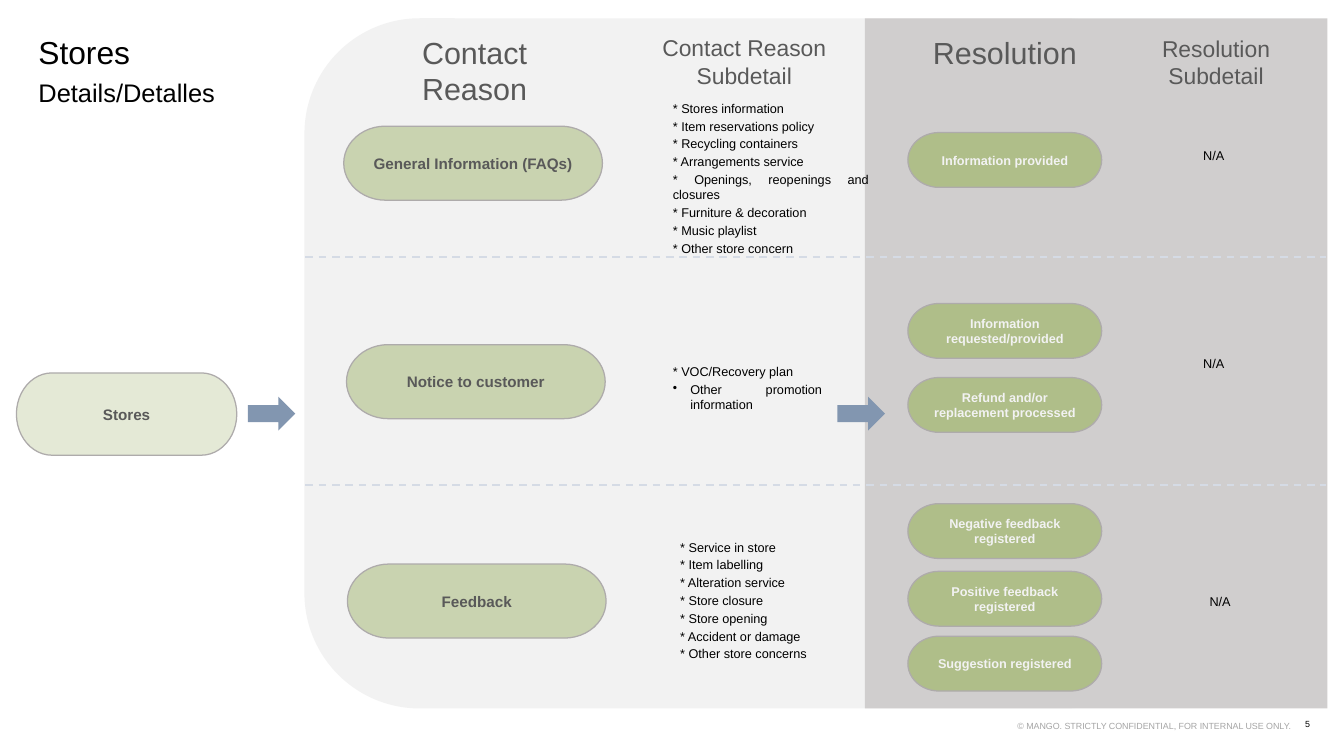
import pptx
import pptx.dml.color
import pptx.enum.dml
import pptx.enum.shapes
import pptx.enum.text
import pptx.oxml
import pptx.oxml.ns
import pptx.util

COLOURS = {
    "black": "000000", "heading": "595959", "footer": "A5A5A5",
    "reason_panel": "F2F2F2", "resolution_panel": "D0CECE",
    "topic": "E4E9D6", "reason": "C9D3B0", "resolution": "AFBE89",
    "outline": "AEABAB", "arrow": "8296B0", "divider": "D5DBE5",
}
FONT = "Arial"
CELL = pptx.util.Inches(0.1)
COLUMNS, ROWS = 147, 82.7
PANEL_TOP, PANEL_ROWS = 2, 75.5
RESOLUTION_COLUMN = 99.3
ALIGN = pptx.enum.text.PP_ALIGN
SHAPES = pptx.enum.shapes.MSO_SHAPE

# Column, row and label of each contact reason
REASONS = [
    (37.6, 13.8, "General Information (FAQs)"),
    (37.9, 37.7, "Notice to customer"),
    (38, 61.7, "Feedback"),
]
# Row and lines of each resolution
RESOLUTIONS = [
    (14.5, ["Information provided"]),
    (33.2, ["Information", "requested/provided"]),
    (41.3, ["Refund and/or replacement processed"]),
    (55.1, ["Negative feedback registered"]),
    (62.5, ["Positive feedback registered"]),
    (69.6, ["Suggestion registered"]),
]
# Area, size and lines of each column heading
HEADINGS = [
    ((40, 3.2, 23.8, 5), 24, ["Contact Reason"]),
    ((69.5, 3.2, 23.8, 7.1), 18, ["Contact Reason Subdetail"]),
    ((98, 3.2, 23.8, 5), 24, ["Resolution"]),
    ((121.1, 3.3, 23.8, 7.1), 18, ["Resolution", "Subdetail"]),
]
# Area and lines of each list of subdetails
SUBDETAILS = [
    ((73.6, 11, 21.4, 17), [
        "* Stores information", "* Item reservations policy",
        "* Recycling containers", "* Arrangements service",
        "* Openings, reopenings and closures", "* Furniture & decoration",
        "* Music playlist", "* Other store concern"]),
    ((73.6, 39.8, 16.3, 5.5), [
        "* VOC/Recovery plan", "• Other promotion information"]),
    ((74.4, 59, 16.3, 14.5), [
        "* Service in store", "* Item labelling", "* Alteration service",
        "* Store closure", "* Store opening", "* Accident or damage",
        "* Other store concerns"]),
]
NOT_APPLICABLE = [(127, 16.2, 11.5, 3.7), (127, 38.9, 11.5, 3.7),
                  (126.4, 65, 14.1, 3.7)]


def rgb(name):
    return pptx.dml.color.RGBColor.from_string(COLOURS[name])


def grid(*cells):
    return [round(cell * CELL) for cell in cells]


def add_bullet(paragraph):
    properties = paragraph._p.get_or_add_pPr()
    hang = pptx.util.Inches(0.19)
    properties.set("marL", str(hang))
    properties.set("indent", str(-hang))
    bullet = pptx.oxml.parse_xml(
        f'<a:buChar {pptx.oxml.ns.nsdecls("a")} char="•"/>')
    properties.append(bullet)


def write(frame, lines, size, colour, align=ALIGN.LEFT, bold=False,
          spacing=None, gap=0, inset=0):
    """Fill a text frame; a line that starts with • becomes a bullet."""
    frame.word_wrap = True
    frame.margin_left = frame.margin_right = pptx.util.Inches(inset)
    frame.margin_top = frame.margin_bottom = pptx.util.Inches(inset / 2)
    for index, line in enumerate(lines):
        paragraph = frame.add_paragraph() if index else frame.paragraphs[0]
        paragraph.alignment = align
        if spacing:
            paragraph.line_spacing = spacing
        if index and gap:
            paragraph.space_before = pptx.util.Pt(gap)
        if line.startswith("• "):
            add_bullet(paragraph)
        run = paragraph.add_run()
        run.text = line.removeprefix("• ")
        run.font.name = FONT
        run.font.size = pptx.util.Pt(size)
        run.font.bold = bold
        run.font.color.rgb = rgb(colour)


def add_text(slide, area, lines, size, colour="black", **style):
    label = slide.shapes.add_textbox(*grid(*area))
    write(label.text_frame, lines, size, colour, **style)


def add_block(slide, kind, area, fill):
    block = slide.shapes.add_shape(kind, *grid(*area))
    block.shadow.inherit = False
    block.fill.solid()
    block.fill.fore_color.rgb = rgb(fill)
    block.line.fill.background()
    return block


def add_pill(slide, area, lines, fill, size=12, colour="heading"):
    pill = add_block(slide, SHAPES.FLOWCHART_TERMINATOR, area, fill)
    pill.line.color.rgb = rgb("outline")
    pill.line.width = pptx.util.Pt(1)
    pill.text_frame.vertical_anchor = pptx.enum.text.MSO_ANCHOR.MIDDLE
    write(pill.text_frame, lines, size, colour, align=ALIGN.CENTER,
          bold=True, inset=0.1)


def add_divider(slide, row):
    divider = slide.shapes.add_connector(
        pptx.enum.shapes.MSO_CONNECTOR.STRAIGHT,
        *grid(33.4, row, 145, row))
    divider.line.color.rgb = rgb("divider")
    divider.line.width = pptx.util.Pt(1.5)
    divider.line.dash_style = pptx.enum.dml.MSO_LINE.DASH
    divider._element.spPr.append(pptx.oxml.parse_xml(
        f'<a:effectLst {pptx.oxml.ns.nsdecls("a")}/>'))


def add_title(slide):
    title = slide.shapes.title
    title.left, title.top, title.width, title.height = grid(4.2, 2.7, 32.5, 5.5)
    title.text_frame.auto_size = pptx.enum.text.MSO_AUTO_SIZE.NONE
    title.text_frame.vertical_anchor = pptx.enum.text.MSO_ANCHOR.TOP
    write(title.text_frame, ["Stores"], 25, "black", spacing=1.2)


def main():
    deck = pptx.Presentation()
    deck.slide_width, deck.slide_height = grid(COLUMNS, ROWS)
    slide = deck.slides.add_slide(deck.slide_layouts[5])

    reason_panel = add_block(slide, SHAPES.ROUNDED_RECTANGLE,
                             (33.3, PANEL_TOP, 95.8, PANEL_ROWS), "reason_panel")
    reason_panel.adjustments[0] = 0.167
    add_block(slide, SHAPES.RECTANGLE,
              (94.6, PANEL_TOP, 50.6, PANEL_ROWS), "resolution_panel")

    add_title(slide)
    add_text(slide, (4.2, 8.2, 30.8, 6), ["Details/Detalles"], 20, spacing=1.07)
    for area, size, lines in HEADINGS:
        add_text(slide, area, lines, size, "heading",
                 align=ALIGN.CENTER, inset=0.1)

    add_pill(slide, (1.8, 40.8, 24.1, 9), ["Stores"], "topic")
    for column, row, reason in REASONS:
        add_pill(slide, (column, row, 28.3, 8.1), [reason], "reason")
    for row, lines in RESOLUTIONS:
        add_pill(slide, (RESOLUTION_COLUMN, row, 21.2, 6), lines,
                 "resolution", 10, "reason_panel")

    for row in (28.1, 53.1):
        add_divider(slide, row)
    for column in (27.1, 91.6):
        add_block(slide, SHAPES.RIGHT_ARROW, (column, 43.4, 5.2, 3.7), "arrow")

    for area, lines in SUBDETAILS:
        add_text(slide, area, lines, 10, align=ALIGN.JUSTIFY, gap=2)
    for area in NOT_APPLICABLE:
        add_text(slide, area, ["N/A"], 10, align=ALIGN.CENTER)

    add_text(slide, (106.7, 78.3, 34.5, 1.6),
             ["© MANGO. STRICTLY CONFIDENTIAL, FOR INTERNAL USE ONLY."],
             7, "footer", align=ALIGN.RIGHT, spacing=1.5)
    add_text(slide, (139, 78.6, 4.3, 1.2), ["5"], 7, align=ALIGN.RIGHT)
    deck.save("out.pptx")


if __name__ == "__main__":
    main()
